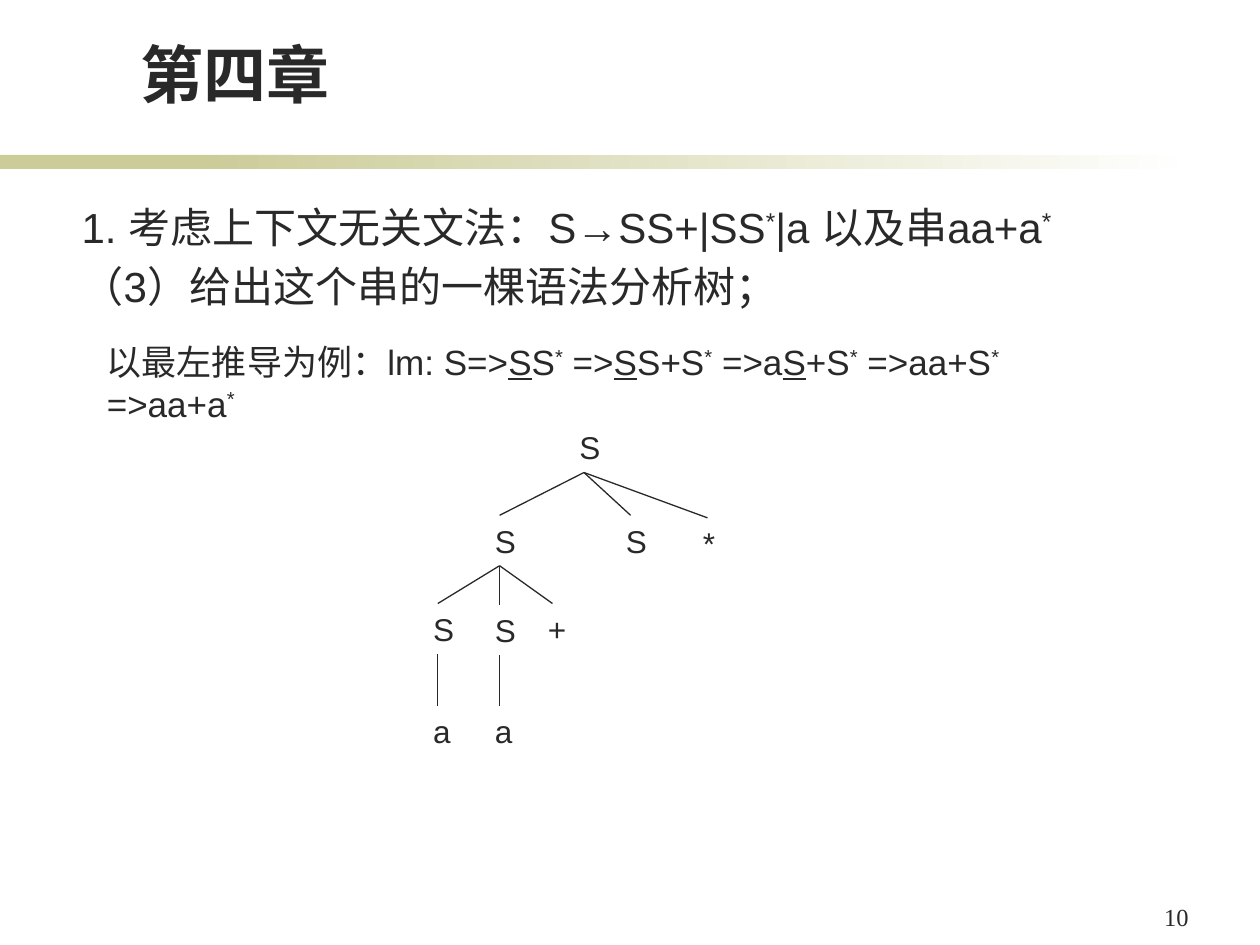
"""Build the slide on a parse tree for a context-free grammar."""
from dataclasses import dataclass
from typing import Optional

from lxml import etree
from pptx import Presentation
from pptx.dml.color import RGBColor
from pptx.enum import shapes, text
from pptx.oxml.ns import qn
from pptx.util import Pt

HUES = {"ink": "292929", "band": "CCCC99", "page": "FFFFFF"}
SIDE, TALL, MID = 19.44, 28.8, 9.72


@dataclass(frozen=True)
class Bit:
    """A run of text, raised or underlined if asked."""
    word: str
    up: bool = False
    under: bool = False


@dataclass(frozen=True)
class Box:
    """A text box, with one tuple of runs per paragraph."""
    left: float
    top: float
    width: float
    height: float
    size: float
    paras: tuple
    font: str = "Arial"
    bold: bool = False
    gap: float = 0
    align: text.PP_ALIGN = text.PP_ALIGN.LEFT
    anchor: text.MSO_ANCHOR = text.MSO_ANCHOR.TOP


@dataclass(frozen=True)
class Node:
    """A symbol of the parse tree, hung below its parent."""
    word: str
    left: float
    top: float
    above: Optional["Node"] = None


def hue(name: str) -> RGBColor:
    """Look up a colour."""
    return RGBColor.from_string(HUES[name])


def write(slide, box: Box) -> None:
    """Draw a text box."""
    shape = slide.shapes.add_textbox(
        Pt(box.left), Pt(box.top), Pt(box.width), Pt(box.height))
    frame = shape.text_frame
    frame.word_wrap = True
    frame.vertical_anchor = box.anchor
    for i, bits in enumerate(box.paras):
        para = frame.add_paragraph() if i else frame.paragraphs[0]
        para.alignment = box.align
        para.space_before = Pt(box.gap)
        font = para.font
        font.name, font.size, font.bold = box.font, Pt(box.size), box.bold
        font.color.rgb = hue("ink")
        for bit in bits:
            run = para.add_run()
            run.text = bit.word
            if bit.under:
                run.font.underline = True
            if bit.up:
                run._r.get_or_add_rPr().set("baseline", "30000")


def band(slide, left: float, width: float, fade: bool) -> None:
    """Draw one part of the rule below the title."""
    bar = slide.shapes.add_shape(
        shapes.MSO_SHAPE.RECTANGLE, Pt(left), Pt(88.56), Pt(width), Pt(7.92))
    bar.shadow.inherit = False
    bar.line.fill.background()
    if fade:
        bar.fill.gradient()
        bar.fill.gradient_angle = 0
        for stop, name, place in zip(
                bar.fill.gradient_stops, ("band", "page"), (0, 1)):
            stop.color.rgb, stop.position = hue(name), place
    else:
        bar.fill.solid()
        bar.fill.fore_color.rgb = hue("band")


def grow(slide, node: Node) -> None:
    """Draw a tree node and the branch from its parent."""
    write(slide, Box(node.left, node.top, SIDE, TALL, 18,
                     ((Bit(node.word),),), align=text.PP_ALIGN.CENTER))
    if node.above:
        root = node.above
        branch = slide.shapes.add_connector(
            shapes.MSO_CONNECTOR.STRAIGHT,
            Pt(root.left + MID), Pt(root.top + TALL),
            Pt(node.left + MID), Pt(node.top))
        branch.line.color.rgb = hue("ink")
        branch.line.width = Pt(0.75)
        etree.SubElement(branch._element.spPr, qn("a:effectLst"))


STAR = Bit("*", up=True)
NEXT = Bit("S", under=True)

TITLE = Box(73.44, 16.56, 528.48, 50.4, 36, ((Bit("第四章"),),),
            bold=True, anchor=text.MSO_ANCHOR.BOTTOM)
TASK = Box(39.6, 111.6, 640.8, 345.6, 24, (
    (Bit("1. 考虑上下文无关文法：S→SS+|SS"), STAR, Bit("|a 以及串aa+a"), STAR),
    (Bit("（3）给出这个串的一棵语法分析树；"),),
), gap=4.8)
STEPS = Box(54, 190.8, 586.08, 31.68, 20, ((
    Bit("以最左推导为例：lm: S=>"), NEXT, Bit("S"), STAR,
    Bit(" =>"), NEXT, Bit("S+S"), STAR,
    Bit(" =>a"), NEXT, Bit("+S"), STAR,
    Bit(" =>aa+S"), STAR, Bit(" =>aa+a"), STAR),))
PAGE = Box(658.08, 511.92, 33.84, 24.48, 14, ((Bit("10"),),),
           font="Times New Roman")

TOP = Node("S", 324, 241.2)
LEFT = Node("S", 275.76, 294.48, TOP)
ONE = Node("S", 240.48, 344.88, LEFT)
TWO = Node("S", 275.76, 345.6, LEFT)
TREE = (
    TOP, LEFT, Node("S", 350.64, 294.48, TOP), Node("*", 394.56, 295.92, TOP),
    ONE, TWO, Node("+", 306, 344.88, LEFT),
    Node("a", ONE.left, 403.2, ONE), Node("a", TWO.left, 403.2, TWO),
)


def main() -> None:
    """Build and save the slide."""
    deck = Presentation()
    deck.slide_width, deck.slide_height = Pt(720), Pt(540)
    slide = deck.slides.add_slide(deck.slide_layouts[6])
    band(slide, 0, 167.76, False)
    band(slide, 113.76, 570.24, True)
    for box in (PAGE, TASK, STEPS):
        write(slide, box)
    for node in TREE:
        grow(slide, node)
    write(slide, TITLE)
    deck.save("out.pptx")


if __name__ == "__main__":
    main()
